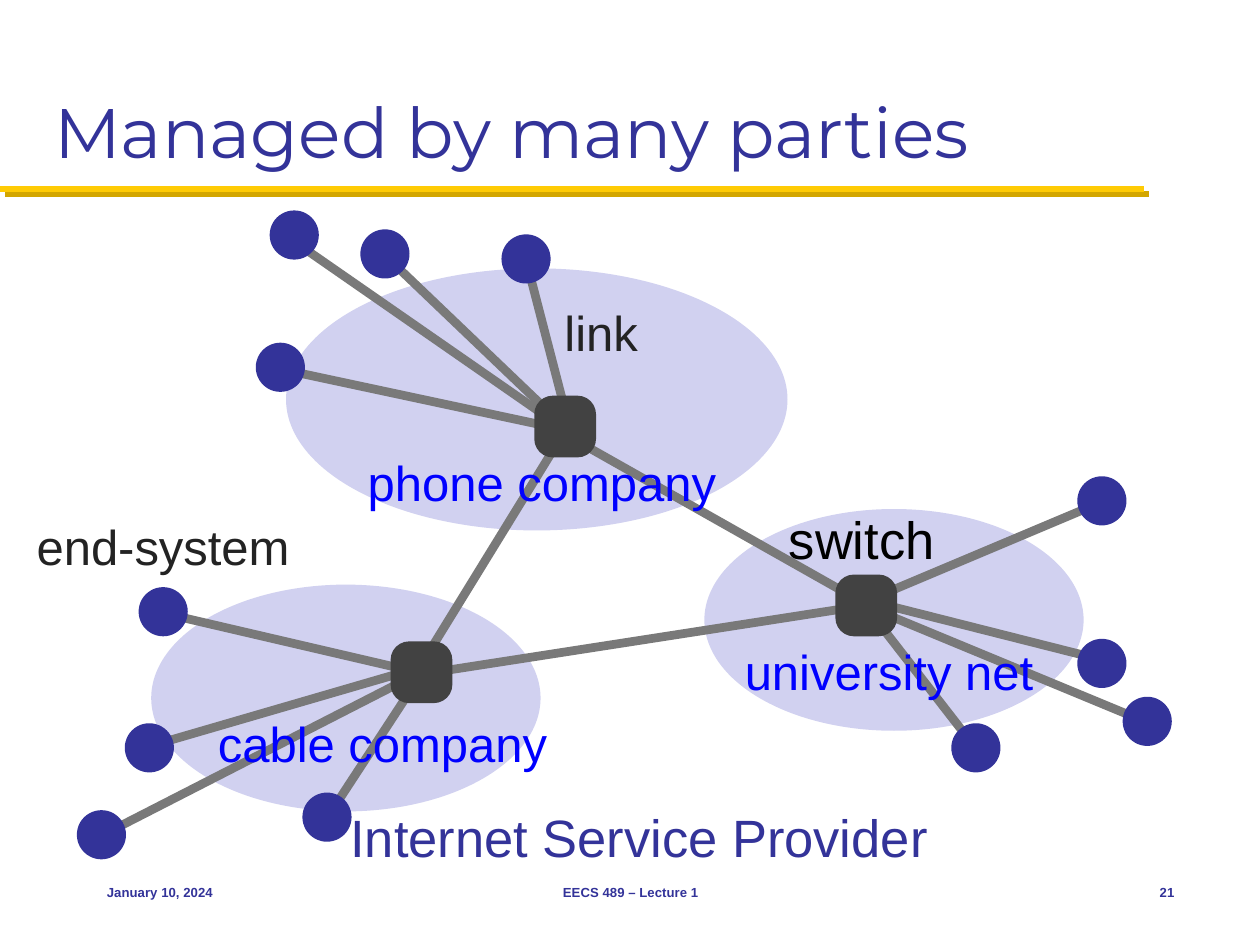
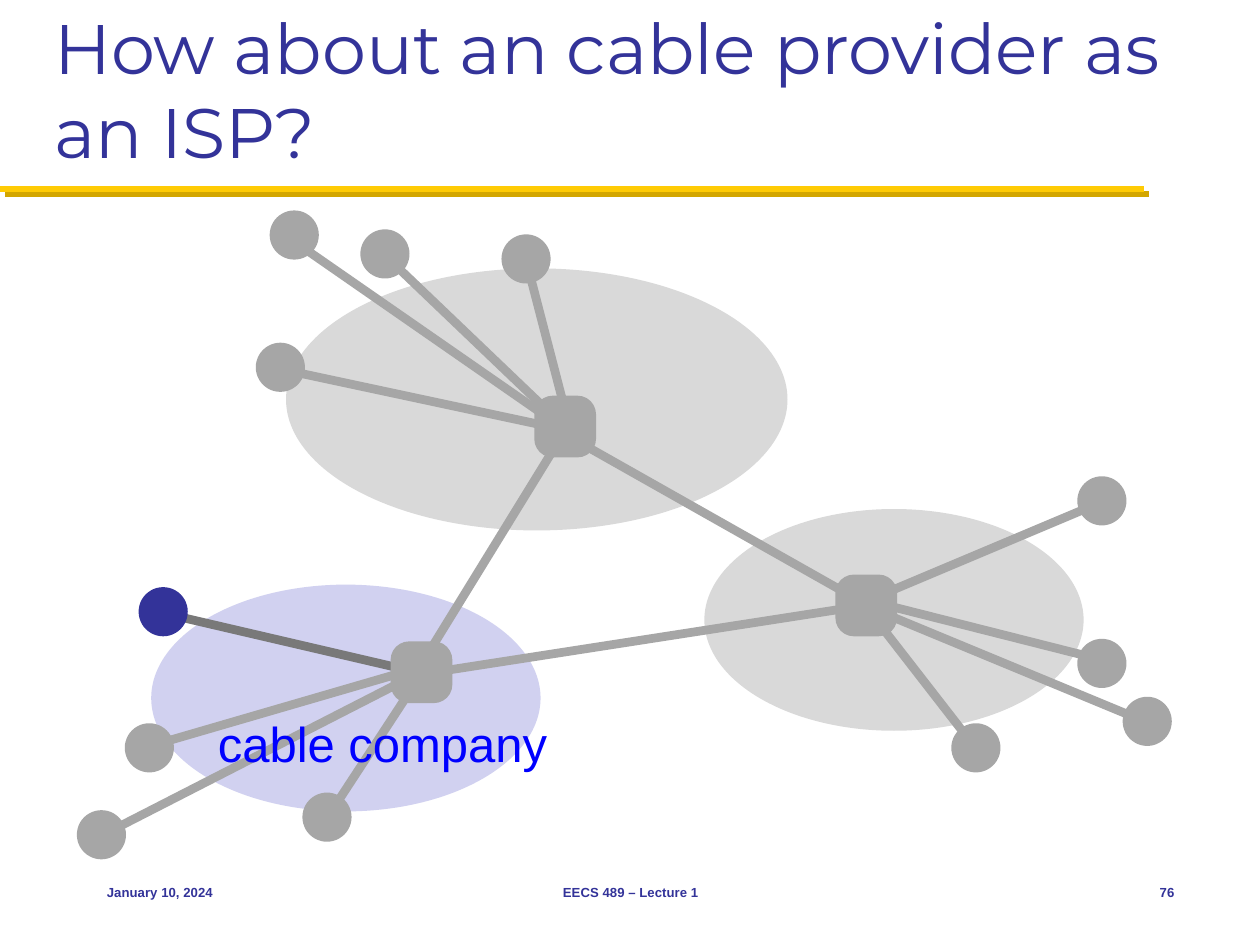
"""Build two slides on the networks that make up the Internet and their owners."""
from dataclasses import dataclass
from typing import Any

import pptx
import pptx.dml.color
import pptx.enum.shapes
import pptx.enum.text
import pptx.oxml
import pptx.oxml.ns
import pptx.util

Inches = pptx.util.Inches
Color = pptx.dml.color.RGBColor
Shape = pptx.enum.shapes.MSO_SHAPE
Anchor = pptx.enum.text.MSO_ANCHOR
AutoSize = pptx.enum.text.MSO_AUTO_SIZE
Align = pptx.enum.text.PP_ALIGN

NAVY = Color(0x33, 0x33, 0x99)
BLUE = Color(0x00, 0x00, 0xFF)
LAVENDER = Color(0xD1, 0xD1, 0xF0)
GOLD = Color(0xFF, 0xCB, 0x05)
DARK_GOLD = Color(0xD3, 0xA6, 0x00)
LINK_GREY = Color(0x79, 0x79, 0x79)
SWITCH_GREY = Color(0x42, 0x42, 0x42)
MUTED_CLOUD = Color(0xD9, 0xD9, 0xD9)
MUTED = Color(0xA6, 0xA6, 0xA6)
INK = Color(0x23, 0x23, 0x23)
BLACK = Color(0x00, 0x00, 0x00)

BODY_FONT = "Arial"
TITLE_FONT = "Montserrat"
END_SYSTEM_SIZE = 0.39
SWITCH_SIZE = 0.49
LINK_WIDTH = 5
SMALL_INSET = 0.04


@dataclass(frozen=True)
class Box:
    """Position and size in inches."""
    left: float
    top: float
    width: float
    height: float

    def lengths(self) -> tuple[Any, ...]:
        """Return the box as slide lengths."""
        return tuple(Inches(value) for value in (self.left, self.top, self.width, self.height))


@dataclass(frozen=True)
class Link:
    """Straight link between two points in inches."""
    start: tuple[float, float]
    end: tuple[float, float]


@dataclass(frozen=True)
class EndSystem:
    """Host circle and the link to its switch."""
    left: float
    top: float
    link: Link


@dataclass(frozen=True)
class Network:
    """Cloud of one party with its switch and end systems."""
    name: str
    cloud: Box
    switch: tuple[float, float]
    end_systems: tuple[EndSystem, ...]


@dataclass(frozen=True)
class Label:
    """Text with its box and format."""
    text: str
    box: Box
    color: Color = BLUE
    size: float = 28
    align: Any = Align.LEFT
    bold: bool = False
    wrap: bool = True
    side_inset: float = SMALL_INSET
    edge_inset: float = SMALL_INSET


@dataclass(frozen=True)
class View:
    """One slide: its title, number, labels and highlights (None means everything)."""
    title: str
    number: str
    labels: tuple[Label, ...]
    network: str | None = None
    end_system: EndSystem | None = None


CUSTOMER = EndSystem(1.1, 4.66, Link((1.27, 4.86), (3.29, 5.33)))
NETWORKS = (
    Network("university", Box(5.59, 4.04, 3.01, 1.76), (6.63, 4.56), (
        EndSystem(8.55, 3.78, Link((8.73, 3.99), (6.83, 4.79))),
        EndSystem(8.55, 5.07, Link((8.72, 5.23), (6.9, 4.77))),
        EndSystem(8.91, 5.53, Link((9.12, 5.74), (6.85, 4.8))),
        EndSystem(7.55, 5.74, Link((7.73, 5.92), (6.9, 4.85))),
    )),
    Network("phone", Box(2.27, 2.13, 3.98, 2.08), (4.24, 3.14), (
        EndSystem(2.03, 2.72, Link((2.23, 2.93), (4.43, 3.4))),
        EndSystem(2.14, 1.67, Link((2.34, 1.92), (4.4, 3.35))),
        EndSystem(2.86, 1.82, Link((3.06, 2.03), (4.43, 3.34))),
        EndSystem(3.98, 1.86, Link((4.19, 2.12), (4.53, 3.43))),
    )),
    Network("cable", Box(1.2, 4.64, 3.09, 1.8), (3.1, 5.09), (
        CUSTOMER,
        EndSystem(0.99, 5.74, Link((1.16, 5.93), (3.29, 5.31))),
        EndSystem(0.61, 6.43, Link((0.77, 6.65), (3.27, 5.37))),
        EndSystem(2.4, 6.29, Link((2.63, 6.44), (3.33, 5.37))),
    )),
)
TRUNKS = (
    Link((4.42, 3.41), (6.88, 4.8)),
    Link((4.49, 3.41), (3.34, 5.28)),
    Link((6.9, 4.8), (3.35, 5.35)),
)
CABLE_LABEL = Label("cable company", Box(1.21, 5.62, 3.65, 0.55), align=Align.CENTER)
VIEWS = (
    View("Managed by many parties", "21", (
        Label("Internet Service Provider", Box(2.74, 6.35, 4.81, 0.58), NAVY, 30),
        Label("phone company", Box(2.11, 3.55, 4.38, 0.55), align=Align.CENTER),
        CABLE_LABEL,
        Label("university net", Box(4.78, 5.05, 4.55, 0.55), align=Align.CENTER),
        Label("link", Box(4.44, 2.36, 0.67, 0.55), INK, wrap=False),
        Label("switch", Box(6.22, 3.98, 1.25, 0.58), BLACK, 30, wrap=False),
        Label("end-system", Box(0.25, 4.06, 2.28, 0.55), INK),
    )),
    View("How about an cable provider as an ISP?", "76", (CABLE_LABEL,), "cable", CUSTOMER),
)


def apply_format(target: Any, values: dict[str, Any]) -> None:
    """Set each named attribute on the target."""
    for name, value in values.items():
        setattr(target, name, value)


def format_text(frame: Any, label: Label, font_name: str, anchor: Any) -> None:
    """Fill a text frame and format its only paragraph."""
    frame.text = label.text
    apply_format(frame, {
        "word_wrap": label.wrap,
        "auto_size": AutoSize.NONE,
        "vertical_anchor": anchor,
        "margin_left": Inches(label.side_inset),
        "margin_right": Inches(label.side_inset),
        "margin_top": Inches(label.edge_inset),
        "margin_bottom": Inches(label.edge_inset),
    })
    paragraph = frame.paragraphs[0]
    paragraph.alignment = label.align
    apply_format(paragraph.font, {
        "name": font_name, "size": pptx.util.Pt(label.size), "bold": label.bold,
    })
    paragraph.font.color.rgb = label.color


def add_label(slide: Any, label: Label) -> None:
    """Add a text box."""
    text_box = slide.shapes.add_textbox(*label.box.lengths())
    format_text(text_box.text_frame, label, BODY_FONT, Anchor.MIDDLE)


def add_line(slide: Any, link: Link, color: Color, width: float) -> Any:
    """Add a line and return its empty effect list."""
    connector = slide.shapes.add_connector(
        pptx.enum.shapes.MSO_CONNECTOR.STRAIGHT,
        *(Inches(value) for value in link.start + link.end),
    )
    connector.line.color.rgb = color
    connector.line.width = pptx.util.Pt(width)
    effects = pptx.oxml.parse_xml(f"<a:effectLst {pptx.oxml.ns.nsdecls('a')}/>")
    connector._element.spPr.append(effects)
    return effects


def add_filled(slide: Any, kind: Any, box: Box, color: Color) -> Any:
    """Add a plain filled shape."""
    shape = slide.shapes.add_shape(kind, *box.lengths())
    shape.shadow.inherit = False
    shape.fill.solid()
    shape.fill.fore_color.rgb = color
    shape.line.fill.background()
    return shape


def add_title_band(slide: Any) -> None:
    """Add the gold rule with its hard shadow."""
    effects = add_line(slide, Link((0, 1.5), (9.08, 1.5)), GOLD, 3.5)
    effects.append(pptx.oxml.parse_xml(
        f'<a:outerShdw {pptx.oxml.ns.nsdecls("a")} blurRad="0" dist="{pptx.util.Pt(4.2)}" '
        f'dir="2700000" algn="ctr" rotWithShape="0"><a:srgbClr val="{DARK_GOLD}"/></a:outerShdw>'
    ))


def add_frame(slide: Any, view: View) -> None:
    """Add the title, band and footer."""
    box = Box(0.33, 0.17, 9.33, 1.25)
    title = slide.shapes.title
    apply_format(title, dict(zip(("left", "top", "width", "height"), box.lengths())))
    title_label = Label(view.title, box, NAVY, 40, side_inset=0.1, edge_inset=0.05)
    format_text(title.text_frame, title_label, TITLE_FONT, Anchor.BOTTOM)
    add_title_band(slide)
    footers = (
        ("January 10, 2024", 0.75, 2.08, Align.LEFT),
        ("EECS 489 – Lecture 1", 3.42, 3.17, Align.CENTER),
        (view.number, 8.75, 0.67, Align.RIGHT),
    )
    for text, left, width, align in footers:
        add_label(slide, Label(text, Box(left, 6.83, width, 0.5), NAVY, 7.5, align,
                               bold=True, side_inset=0.1, edge_inset=0.05))


def add_networks(slide: Any, view: View) -> None:
    """Draw clouds, links, end systems and switches from back to front."""
    everything = view.network is None
    for network in NETWORKS:
        lit = everything or network.name == view.network
        add_filled(slide, Shape.OVAL, network.cloud, LAVENDER if lit else MUTED_CLOUD)
    end_systems = [item for network in NETWORKS for item in network.end_systems]
    for end_system in end_systems:
        lit = everything or end_system == view.end_system
        add_line(slide, end_system.link, LINK_GREY if lit else MUTED, LINK_WIDTH)
    for trunk in TRUNKS:
        add_line(slide, trunk, LINK_GREY if everything else MUTED, LINK_WIDTH)
    for end_system in end_systems:
        lit = everything or end_system == view.end_system
        box = Box(end_system.left, end_system.top, END_SYSTEM_SIZE, END_SYSTEM_SIZE)
        add_filled(slide, Shape.OVAL, box, NAVY if lit else MUTED)
    for network in NETWORKS:
        box = Box(*network.switch, SWITCH_SIZE, SWITCH_SIZE)
        switch = add_filled(slide, Shape.ROUNDED_RECTANGLE, box,
                            SWITCH_GREY if everything else MUTED)
        switch.adjustments[0] = 0.3


def main() -> None:
    """Build and save the presentation."""
    presentation = pptx.Presentation()
    presentation.slide_width = Inches(10)
    presentation.slide_height = Inches(7.5)
    for view in VIEWS:
        slide = presentation.slides.add_slide(presentation.slide_layouts[5])
        add_frame(slide, view)
        add_networks(slide, view)
        for label in view.labels:
            add_label(slide, label)
    presentation.save("out.pptx")


if __name__ == "__main__":
    main()
